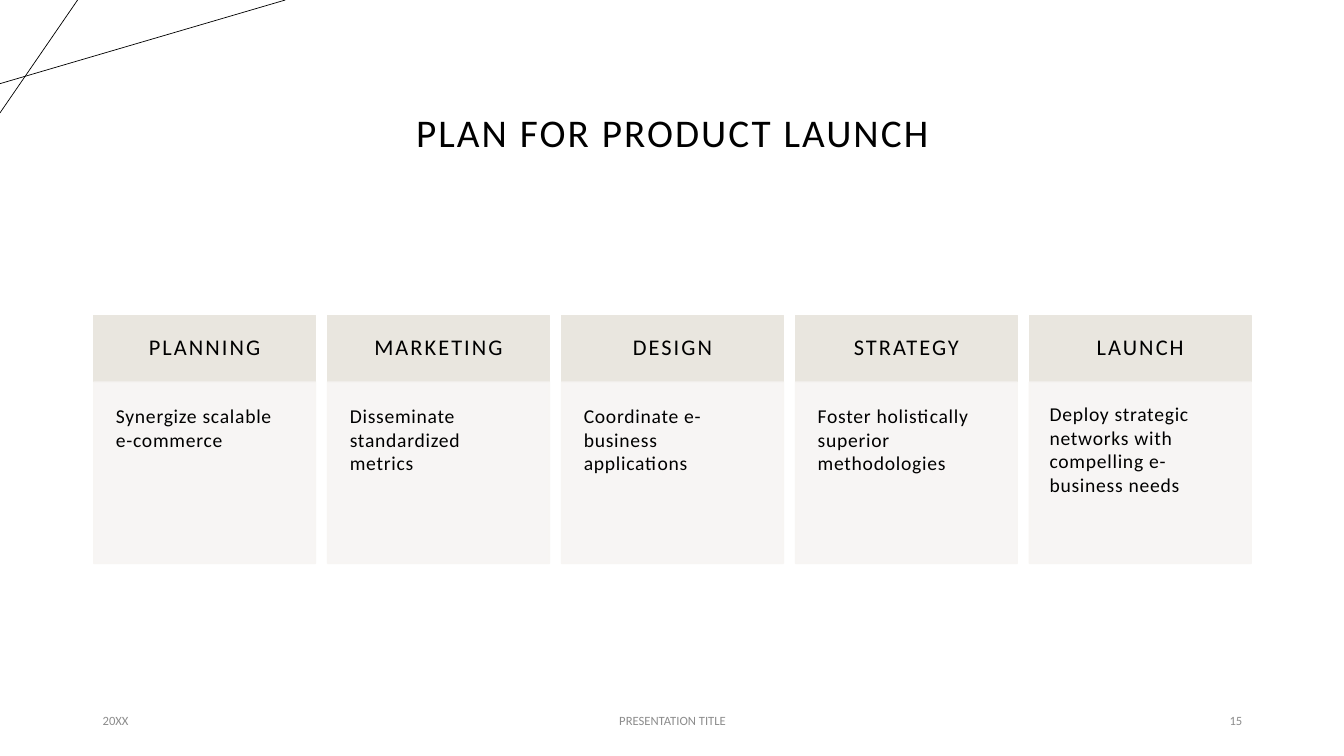
from dataclasses import dataclass

from lxml.etree import SubElement
from pptx import Presentation
from pptx.dml.color import RGBColor
from pptx.enum.shapes import MSO_CONNECTOR, MSO_SHAPE
from pptx.enum.text import MSO_ANCHOR as Anchor, MSO_AUTO_SIZE, PP_ALIGN as Align
from pptx.oxml.ns import qn
from pptx.shapes.autoshape import Shape
from pptx.slide import Slide
from pptx.util import Inches, Pt

FONT = "Calibri"
BLACK = RGBColor(0x00, 0x00, 0x00)
GRAY = RGBColor(0x8C, 0x8C, 0x8C)
SAND = RGBColor(0xE9, 0xE6, 0xDF)
PALE = RGBColor(0xF7, 0xF5, 0xF3)

STAGE_LEFT, STAGE_STEP, STAGE_WIDTH = 0.93, 2.32, 2.2
HEAD_TOP, HEAD_HEIGHT, BODY_HEIGHT = 3.13, 0.66, 1.8


@dataclass
class Stage:
    name: str
    task: str
    inset: float = 0.22


@dataclass
class TextStyle:
    size: float
    align: Align = Align.LEFT
    anchor: Anchor = Anchor.MIDDLE
    color: RGBColor = BLACK
    tracking: float = 0
    line_spacing: float = 1.0


@dataclass
class FooterItem:
    text: str
    left: float
    width: float
    align: Align


STAGES = [
    Stage("PLANNING", "Synergize scalable e-commerce"),
    Stage("MARKETING", "Disseminate standardized metrics"),
    Stage("DESIGN", "Coordinate e-business applications"),
    Stage("STRATEGY", "Foster holistically superior methodologies"),
    Stage("LAUNCH", "Deploy strategic networks with compelling e-business needs", 0.2),
]
FOOTER = [
    FooterItem("20XX", 0.92, 3, Align.LEFT),
    FooterItem("PRESENTATION TITLE", 4.42, 4.5, Align.CENTER),
    FooterItem("15", 9.42, 3, Align.RIGHT),
]
CORNER_LINES = [((0, 0.83), (2.83, 0)), ((0.77, 0), (0, 1.12))]

TITLE_STYLE = TextStyle(28, Align.CENTER, Anchor.BOTTOM, tracking=1.5, line_spacing=0.9)
HEAD_STYLE = TextStyle(16, Align.CENTER, tracking=1.5, line_spacing=0.9)
TASK_STYLE = TextStyle(14, anchor=Anchor.TOP, tracking=0.5)


def write_text(box: Shape, text: str, style: TextStyle, inset: float | None = None) -> None:
    frame = box.text_frame
    frame.word_wrap = True
    frame.auto_size = MSO_AUTO_SIZE.NONE
    frame.vertical_anchor = style.anchor
    if inset is not None:
        frame.margin_left = frame.margin_right = Inches(inset)
        frame.margin_top = frame.margin_bottom = Inches(inset)
    para = frame.paragraphs[0]
    para.text = text
    para.alignment = style.align
    para.line_spacing = style.line_spacing
    para.font.name = FONT
    para.font.size = Pt(style.size)
    para.font.color.rgb = style.color
    if style.tracking:
        defaults = para._p.get_or_add_pPr().get_or_add_defRPr()
        defaults.set("spc", str(int(style.tracking * 100)))


def add_panel(page: Slide, left: float, top: float, height: float,
              color: RGBColor, opacity: int = 100) -> Shape:
    panel = page.shapes.add_shape(MSO_SHAPE.RECTANGLE, Inches(left), Inches(top),
                                  Inches(STAGE_WIDTH), Inches(height))
    panel.shadow.inherit = False
    panel.fill.solid()
    panel.fill.fore_color.rgb = color
    panel.line.color.rgb = color
    panel.line.width = Pt(1)
    if opacity < 100:
        for tint in panel._element.spPr.iter(qn("a:srgbClr")):
            SubElement(tint, qn("a:alpha"), val=str(opacity * 1000))
    return panel


def add_stage(page: Slide, index: int, stage: Stage) -> None:
    left = STAGE_LEFT + index * STAGE_STEP
    head = add_panel(page, left, HEAD_TOP, HEAD_HEIGHT, SAND)
    write_text(head, stage.name, HEAD_STYLE, 0.17)
    body = add_panel(page, left, HEAD_TOP + HEAD_HEIGHT, BODY_HEIGHT, PALE, 90)
    write_text(body, stage.task, TASK_STYLE, stage.inset)


def add_corner_line(page: Slide, start: tuple[float, float], end: tuple[float, float]) -> None:
    line = page.shapes.add_connector(MSO_CONNECTOR.STRAIGHT,
                                     *map(Inches, start), *map(Inches, end))
    line.line.color.rgb = BLACK
    line.line.width = Pt(0.5)
    SubElement(line._element.spPr, qn("a:effectLst"))


def add_title(page: Slide, text: str) -> None:
    title = page.shapes.title
    title.left, title.top = Inches(0.92), Inches(0.15)
    title.width, title.height = Inches(11.5), Inches(1.45)
    write_text(title, text, TITLE_STYLE)


def add_footer_item(page: Slide, item: FooterItem) -> None:
    box = page.shapes.add_textbox(Inches(item.left), Inches(6.95),
                                  Inches(item.width), Inches(0.4))
    write_text(box, item.text, TextStyle(9, item.align, color=GRAY))


def main() -> None:
    deck = Presentation()
    deck.slide_width, deck.slide_height = Inches(13.33), Inches(7.5)
    page = deck.slides.add_slide(deck.slide_layouts.get_by_name("Title Only"))
    for start, end in CORNER_LINES:
        add_corner_line(page, start, end)
    add_title(page, "PLAN FOR PRODUCT LAUNCH")
    for index, stage in enumerate(STAGES):
        add_stage(page, index, stage)
    for item in FOOTER:
        add_footer_item(page, item)
    deck.save("out.pptx")


if __name__ == "__main__":
    main()
